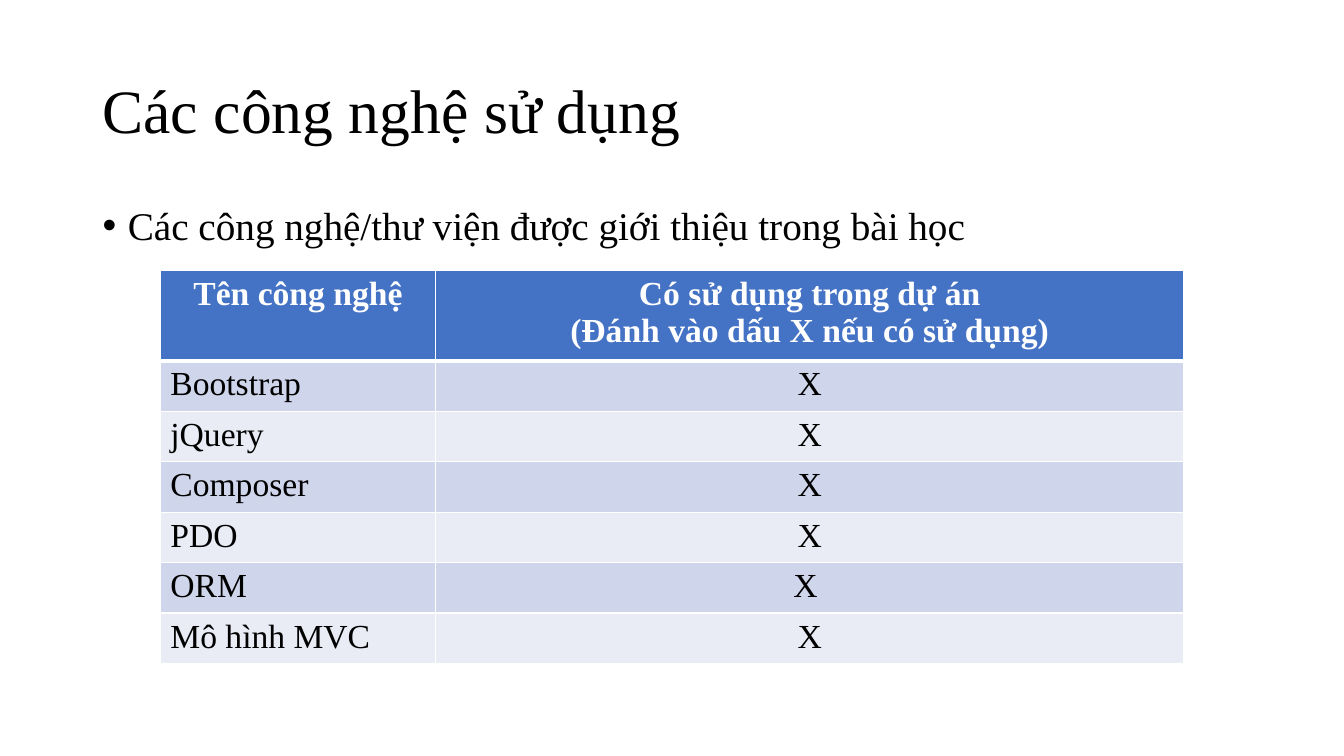
from pptx import Presentation
from pptx.dml.color import RGBColor
from pptx.enum.text import MSO_ANCHOR, PP_ALIGN
from pptx.oxml.xmlchemy import OxmlElement
from pptx.util import Inches, Pt

# Theme: colours and type sizes
theme = {
    "font": "Times New Roman",
    "ink": "000000", "paper": "FFFFFF", "head": "4472C4",
    "bands": ("CFD5EA", "E9EBF5"),
    "title": 44, "body": 28, "cell": 24,
}

deck = Presentation()
deck.slide_width, deck.slide_height = Inches(13.33), Inches(7.5)
wide, high = deck.slide_width, deck.slide_height
slide = deck.slides.add_slide(deck.slide_layouts[6])


def style(para, size, tint, bold=False):
    font = para.font
    font.name, font.size, font.bold = theme["font"], Pt(size), bold
    font.color.rgb = RGBColor.from_string(tint)


def edge(cell, side, width):
    line = OxmlElement(f"a:ln{side}")
    line.set("w", str(Pt(width)))
    fill = OxmlElement("a:solidFill")
    tint = OxmlElement("a:srgbClr")
    tint.set("val", theme["paper"])
    fill.append(tint)
    line.append(fill)
    cell._tc.get_or_add_tcPr().append(line)


# Title and bullet
left, span = int(wide * 0.069), int(wide * 0.8625)
lines = [
    ("Các công nghệ sử dụng", 0.4, 1.45, "title", MSO_ANCHOR.MIDDLE),
    ("Các công nghệ/thư viện được giới thiệu trong bài học", 2, 4.76, "body", MSO_ANCHOR.TOP),
]
for text, top, tall, role, anchor in lines:
    box = slide.shapes.add_textbox(left, int(high * top / 7.5), span, int(high * tall / 7.5))
    frame = box.text_frame
    frame.word_wrap, frame.vertical_anchor = True, anchor
    para = frame.paragraphs[0]
    para.text, para.line_spacing = text, 0.9
    if role == "body":
        para.space_before = Pt(10)
        props = para._p.get_or_add_pPr()
        props.set("marL", str(Inches(0.25)))
        props.set("indent", str(-Inches(0.25)))
        face = OxmlElement("a:buFont")
        face.set("typeface", "Arial")
        mark = OxmlElement("a:buChar")
        mark.set("char", "•")
        props.extend((face, mark))
    style(para, theme[role], theme["ink"])

# Table of technologies
rows = [
    ("Tên công nghệ", "Có sử dụng trong dự án\n(Đánh vào dấu X nếu có sử dụng)"),
    ("Bootstrap", "X"),
    ("jQuery", "X"),
    ("Composer", "X"),
    ("PDO", "X"),
    ("ORM", "X "),
    ("Mô hình MVC", "X"),
]
cols = (2.73, 7.42)
heights = [0.83] + [0.47] * (len(rows) - 1)
grid = slide.shapes.add_table(
    len(rows), len(cols), Inches(1.59), Inches(2.68),
    Inches(sum(cols)), Inches(sum(heights))).table
for col, width in zip(grid.columns, cols):
    col.width = Inches(width)

for r, row in enumerate(rows):
    grid.rows[r].height = Inches(heights[r])
    head = r == 0
    for c, text in enumerate(row):
        cell = grid.cell(r, c)
        cell.text = text
        for side in "LRTB":
            thick = (head and side == "B") or (r == 1 and side == "T")
            edge(cell, side, 3 if thick else 1)
        cell.fill.solid()
        shade = theme["head"] if head else theme["bands"][(r - 1) % 2]
        cell.fill.fore_color.rgb = RGBColor.from_string(shade)
        for para in cell.text_frame.paragraphs:
            para.alignment = PP_ALIGN.CENTER if head or c else PP_ALIGN.LEFT
            style(para, theme["cell"], theme["paper" if head else "ink"], head)

deck.save("out.pptx")
